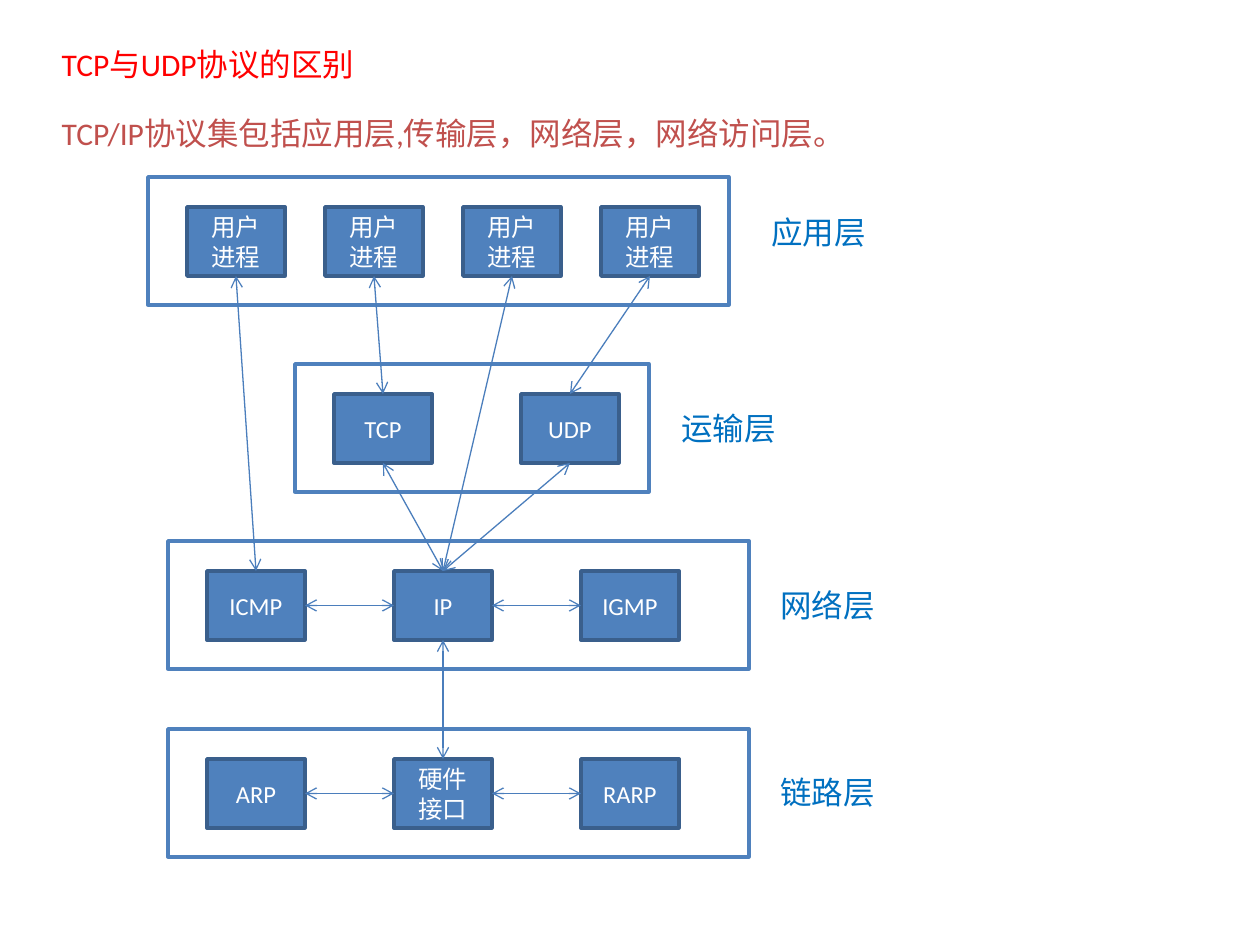
from lxml.etree import SubElement
from pptx import Presentation
from pptx.dml.color import RGBColor
from pptx.enum.shapes import MSO_CONNECTOR, MSO_SHAPE
from pptx.enum.text import MSO_ANCHOR as ANCHOR, MSO_AUTO_SIZE as AUTO_SIZE, PP_ALIGN as ALIGN
from pptx.oxml.ns import qn
from pptx.util import Pt

PX = 914400 // 126  # EMU per pixel
BLUE, DARK_BLUE, LINK_BLUE, LABEL_BLUE = "4F81BD", "3A5F8C", "4B7EBC", "0070C0"
WHITE, RED, BRICK = "FFFFFF", "FF0000", "C0504D"


def rgb(hex_colour):
    """Turn a hex string into a colour."""
    return RGBColor.from_string(hex_colour)


def write(shape, wording, size, colour, align=ALIGN.LEFT, anchor=ANCHOR.TOP):
    """Put one formatted run into a shape and return its paragraph."""
    frame = shape.text_frame
    frame.word_wrap = True
    frame.auto_size = AUTO_SIZE.NONE
    frame.vertical_anchor = anchor
    paragraph = frame.paragraphs[0]
    paragraph.alignment = align
    run = paragraph.add_run()
    run.text = wording
    run.font.name = "Calibri"
    run.font.size = Pt(size)
    run.font.color.rgb = rgb(colour)
    return paragraph


prs = Presentation()
prs.slide_width, prs.slide_height = 1260 * PX, 945 * PX
slide = prs.slides.add_slide(prs.slide_layouts[1])
shapes = slide.shapes

# Headings
headings = [
    (shapes.title, 39, 1152, "TCP与UDP协议的区别", RED),
    (slide.placeholders[1], 108, 1113, "TCP/IP协议集包括应用层,传输层，网络层，网络访问层。", BRICK),
]
for heading, top, width, wording, colour in headings:
    heading.left, heading.top = 49 * PX, top * PX
    heading.width, heading.height = width * PX, 51 * PX
    paragraph = write(heading, wording, 18, colour)
    paragraph.space_before = Pt(0)
    properties = paragraph._p.get_or_add_pPr()
    properties.set("marL", "0")
    properties.set("indent", "0")
    SubElement(properties, qn("a:buNone"))

# Layers: name, left, top, width, label left, label top, node step, nodes
layers = [
    ("应用层", 148, 177, 581, 759, 207, 138, ["用户进程"] * 4),
    ("运输层", 295, 364, 354, 669, 403, 187, ["TCP", "UDP"]),
    ("网络层", 168, 541, 581, 768, 580, 187, ["ICMP", "IP", "IGMP"]),
    ("链路层", 168, 729, 581, 768, 767, 187, ["ARP", "硬件接口", "RARP"]),
]
NODE_WIDTH, NODE_HEIGHT = 98, 69
rows = []
for name, left, top, width, label_left, label_top, step, protocols in layers:
    boxes = [(left, top, width, 128, WHITE, BLUE, "")]
    boxes += [(left + 39 + i * step, top + 30, NODE_WIDTH, NODE_HEIGHT, BLUE, DARK_BLUE, protocol)
              for i, protocol in enumerate(protocols)]
    drawn = []
    for x, y, w, h, fill, outline, wording in boxes:
        box = shapes.add_shape(MSO_SHAPE.RECTANGLE, x * PX, y * PX, w * PX, h * PX)
        box.shadow.inherit = False
        box.fill.solid()
        box.fill.fore_color.rgb = rgb(fill)
        box.line.color.rgb = rgb(outline)
        box.line.width = Pt(2)
        if wording:
            write(box, wording, 14, WHITE, ALIGN.CENTER, ANCHOR.MIDDLE)
        drawn.append(box)
    rows.append(drawn[1:])
    label = shapes.add_textbox(label_left * PX, label_top * PX, 147 * PX, 51 * PX)
    write(label, name, 18, LABEL_BLUE)

# Links between nodes, each end glued to a side
TOP, LEFT, BOTTOM, RIGHT = range(4)
processes, transport, network, link_layer = rows
tcp, udp = transport
icmp, ip, igmp = network
arp, hardware, rarp = link_layer
vertical = [(processes[1], tcp), (processes[3], udp), (processes[2], ip), (tcp, ip),
            (udp, ip), (processes[0], icmp), (ip, hardware)]
horizontal = [(icmp, ip), (ip, igmp), (arp, hardware), (hardware, rarp)]
links = [(start, BOTTOM, end, TOP) for start, end in vertical]
links += [(start, RIGHT, end, LEFT) for start, end in horizontal]
for start, start_side, end, end_side in links:
    link = shapes.add_connector(MSO_CONNECTOR.STRAIGHT, 0, 0, 0, 0)
    link.begin_connect(start, start_side)
    link.end_connect(end, end_side)
    link.line.color.rgb = rgb(LINK_BLUE)
    link.line.width = Pt(0.75)
    outline = link.line._get_or_add_ln()
    for tip in ("a:headEnd", "a:tailEnd"):
        SubElement(outline, qn(tip), type="arrow")
    SubElement(link._element.spPr, qn("a:effectLst"))

prs.save("out.pptx")
